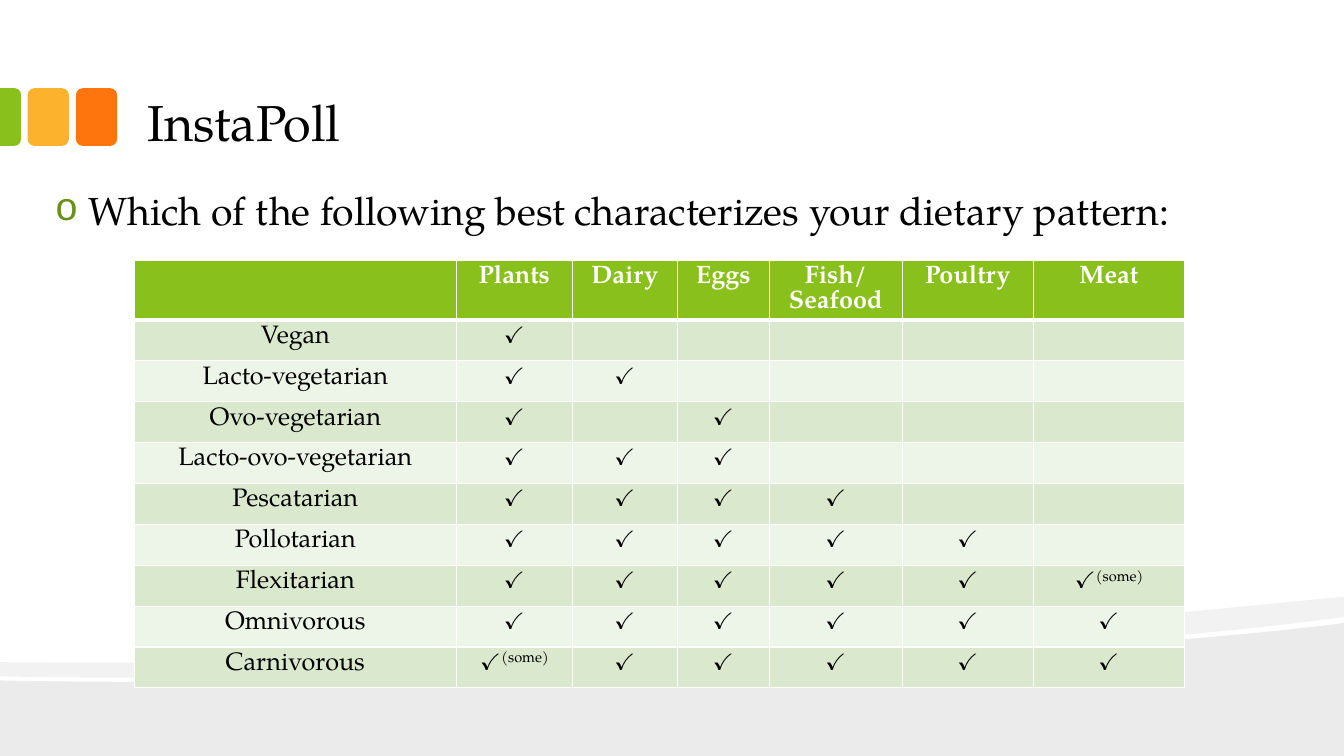
from dataclasses import dataclass

from lxml import etree
from pptx import Presentation
from pptx.dml.color import RGBColor
from pptx.enum.shapes import MSO_SHAPE
from pptx.enum.text import MSO_ANCHOR, MSO_AUTO_SIZE, PP_ALIGN
from pptx.oxml.ns import qn
from pptx.util import Pt

ROUNDED, ROUNDED_TOP = MSO_SHAPE.ROUNDED_RECTANGLE, MSO_SHAPE.ROUND_2_SAME_RECTANGLE
TOP, BOTTOM = MSO_ANCHOR.TOP, MSO_ANCHOR.BOTTOM
LEFT, CENTER = PP_ALIGN.LEFT, PP_ALIGN.CENTER
NO_FIT = MSO_AUTO_SIZE.NONE

FONT = "TeX Gyre Pagella"
BLACK, WHITE, GREEN = "000000", "FFFFFF", "89C01C"
BANDS = ("DAE8CD", "EDF4E8")
TICK = "✓"

Point = tuple[float, float]


@dataclass
class Wave:
    """Outline whose segments hold one point (line) or three (Bézier curve)."""
    start: Point
    segments: list[tuple[Point, ...]]
    opacity: int


@dataclass
class Tab:
    kind: int
    left: float
    top: float
    width: float
    height: float
    color: str
    corners: tuple[float, ...]
    rotation: int = 0


@dataclass
class Diet:
    """Foods are given one letter per column; a lower-case letter means some."""
    name: str
    foods: str


WAVES = [
    Wave((960, 445), [((960, 540),), ((0, 540),), ((0, 486),),
                      ((253.4, 491.8), (750.2, 471.6), (960, 445))], 8),
    Wave((960, 426.2), [((960, 440.6),),
                        ((903.6, 448.6), (827.3, 455.8), (740.9, 461.5)),
                        ((502.6, 477.4), (185.8, 487.4), (0, 483.1)),
                        ((0, 473),),
                        ((469.4, 476.6), (699.1, 451.4), (960, 426.2))], 5),
]
TABS = [
    Tab(ROUNDED, 54.2, 63, 29.5, 41.2, "FE750E", (0.167,)),
    Tab(ROUNDED, 19.7, 63, 29.5, 41.2, "FCB22C", (0.167,)),
    Tab(ROUNDED_TOP, -13.2, 76.1, 41.2, 15, GREEN, (0.292, 0), 90),
]
HEADERS = ["", "Plants", "Dairy", "Eggs", "Fish/ Seafood", "Poultry", "Meat"]
FOOD_LETTERS = "PDEFUM"
DIETS = [
    Diet("Vegan", "P"),
    Diet("Lacto-vegetarian", "PD"),
    Diet("Ovo-vegetarian", "PE"),
    Diet("Lacto-ovo-vegetarian", "PDE"),
    Diet("Pescatarian", "PDEF"),
    Diet("Pollotarian", "PDEFU"),
    Diet("Flexitarian", "PDEFUm"),
    Diet("Omnivorous", "PDEFUM"),
    Diet("Carnivorous", "pDEFUM"),
]
COLUMN_WIDTHS = [229.9, 82.9, 75, 65.7, 95, 93.6, 108]
ROW_HEIGHT, TABLE_HEIGHT = 29.2, 313.2


def paint(fill, color: str) -> None:
    fill.solid()
    fill.fore_color.rgb = RGBColor.from_string(color)


def apply(target, values: dict) -> None:
    for name, value in values.items():
        setattr(target, name, value)


def add_span(para, text: str, size: float, color: str, bold: bool = False):
    span = para.add_run()
    span.text = text
    apply(span.font, {"name": FONT, "size": Pt(size), "bold": bold})
    span.font.color.rgb = RGBColor.from_string(color)
    return span


def bend_curves(shape, segments: list[tuple[Point, ...]]) -> None:
    """Join the three lines of each curved segment into one Bézier command."""
    lines = iter(list(shape._element.iter(qn("a:lnTo"))))
    for segment in segments:
        first, *others = [next(lines) for _ in segment]
        if others:
            first.tag = qn("a:cubicBezTo")
            for line in others:
                first.append(line[0])
                line.getparent().remove(line)


def add_wave(page, wave: Wave) -> None:
    points = [(Pt(x), Pt(y)) for segment in wave.segments for x, y in segment]
    builder = page.shapes.build_freeform(Pt(wave.start[0]), Pt(wave.start[1]))
    builder.add_line_segments(points)
    shape = builder.convert_to_shape()
    bend_curves(shape, wave.segments)
    shape.shadow.inherit = False
    shape.line.fill.background()
    paint(shape.fill, BLACK)
    color = next(shape._element.spPr.iter(qn("a:srgbClr")))
    etree.SubElement(color, qn("a:alpha")).set("val", str(wave.opacity * 1000))


def add_tab(page, tab: Tab) -> None:
    shape = page.shapes.add_shape(tab.kind, Pt(tab.left), Pt(tab.top), Pt(tab.width), Pt(tab.height))
    for index, corner in enumerate(tab.corners):
        shape.adjustments[index] = corner
    shape.rotation = tab.rotation
    shape.shadow.inherit = False
    shape.line.fill.background()
    paint(shape.fill, tab.color)


def place_text(page, box, bounds: tuple[float, ...], anchor, text: str, size: float):
    """Fill a placeholder and bring it in front of the decoration."""
    page.shapes._spTree.append(box._element)
    apply(box, dict(zip(("left", "top", "width", "height"), map(Pt, bounds))))
    apply(box.text_frame, {
        "margin_left": Pt(9.4), "margin_right": Pt(9.4), "margin_top": Pt(5),
        "margin_bottom": Pt(5), "vertical_anchor": anchor, "word_wrap": True,
        "auto_size": NO_FIT})
    para = box.text_frame.paragraphs[0]
    apply(para, {"alignment": LEFT, "space_before": Pt(0)})
    add_span(para, text, size, BLACK)
    return para


def add_bullet(para, symbol: str, color: str, indent: float) -> None:
    properties = para._p.get_or_add_pPr()
    properties.set("marL", str(Pt(indent)))
    properties.set("indent", str(-Pt(indent)))
    bullet_color = etree.SubElement(properties, qn("a:buClr"))
    etree.SubElement(bullet_color, qn("a:srgbClr")).set("val", color)
    etree.SubElement(properties, qn("a:buFont")).set("typeface", "Courier New")
    etree.SubElement(properties, qn("a:buChar")).set("char", symbol)


def add_borders(cell, bottom: float) -> None:
    properties = cell._tc.get_or_add_tcPr()
    widths = {"a:lnL": 1, "a:lnR": 1, "a:lnT": 1, "a:lnB": bottom}
    for index, (side, width) in enumerate(widths.items()):
        line = etree.Element(qn(side), w=str(Pt(width)))
        fill = etree.SubElement(line, qn("a:solidFill"))
        etree.SubElement(fill, qn("a:srgbClr")).set("val", WHITE)
        properties.insert(index, line)


def fill_cell(cell, text: str, row: int, some: bool = False) -> None:
    header = row == 0
    paint(cell.fill, GREEN if header else BANDS[(row - 1) % 2])
    add_borders(cell, 3 if header else 1)
    para = cell.text_frame.paragraphs[0]
    para.alignment = CENTER
    if text:
        add_span(para, text, 18, WHITE if header else BLACK, header)
    if some:
        add_span(para, "(some)", 18, BLACK)._r.get_or_add_rPr().set("baseline", "30000")


def add_diet_table(page) -> None:
    frame = page.shapes.add_table(len(DIETS) + 1, len(HEADERS), Pt(96), Pt(186.1),
                                  Pt(sum(COLUMN_WIDTHS)), Pt(TABLE_HEIGHT))
    table = frame.table
    for column, width in zip(table.columns, COLUMN_WIDTHS):
        column.width = Pt(width)
    for row in table.rows:
        row.height = Pt(ROW_HEIGHT)
    frame.height = Pt(TABLE_HEIGHT)
    for column, header in enumerate(HEADERS):
        fill_cell(table.cell(0, column), header, 0)
    for row, diet in enumerate(DIETS, 1):
        fill_cell(table.cell(row, 0), diet.name, row)
        for column, letter in enumerate(FOOD_LETTERS, 1):
            eaten = letter in diet.foods.upper()
            fill_cell(table.cell(row, column), TICK if eaten else "", row,
                      letter.lower() in diet.foods)


def main() -> None:
    deck = Presentation()
    deck.slide_width, deck.slide_height = Pt(960), Pt(540)
    page = deck.slides.add_slide(deck.slide_layouts[1])
    for wave in WAVES:
        add_wave(page, wave)
    for tab in TABS:
        add_tab(page, tab)
    place_text(page, page.shapes.title, (96, 11.2, 767.5, 102), BOTTOM, "InstaPoll", 36)
    question = place_text(page, page.placeholders[1], (29.7, 131.8, 911.5, 48.2), TOP,
                          "Which of the following best characterizes your dietary pattern:", 28)
    add_bullet(question, "o", "679015", 24)
    question.line_spacing = 0.9
    add_diet_table(page)
    deck.save("out.pptx")


if __name__ == "__main__":
    main()
